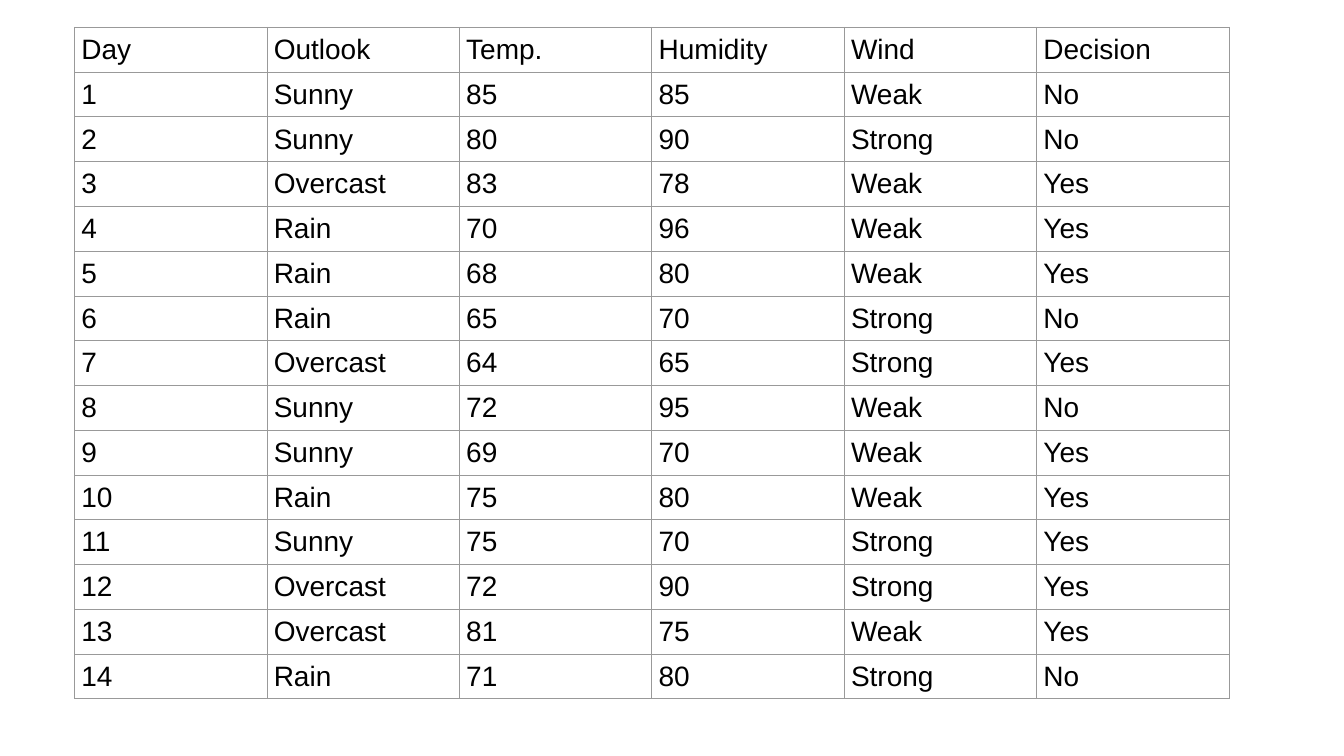
from dataclasses import dataclass

from lxml import etree
from pptx import Presentation
from pptx import util as u
from pptx.dml import color
from pptx.enum import text
from pptx.oxml import ns


@dataclass(frozen=True)
class Theme:
    face: str = "Arial"
    size: int = 20
    ink: str = "000000"
    rule: str = "999999"
    rule_width: float = 0.75


THEME = Theme()
INSET = u.Cm(0.17)
COL_WIDTH = u.Cm(4.85)
ROW_HEIGHT = u.Cm(1.12)

HEAD = ("Day", "Outlook", "Temp.", "Humidity", "Wind", "Decision")
DAYS = (
    ("Sunny", 85, 85, "Weak", "No"),
    ("Sunny", 80, 90, "Strong", "No"),
    ("Overcast", 83, 78, "Weak", "Yes"),
    ("Rain", 70, 96, "Weak", "Yes"),
    ("Rain", 68, 80, "Weak", "Yes"),
    ("Rain", 65, 70, "Strong", "No"),
    ("Overcast", 64, 65, "Strong", "Yes"),
    ("Sunny", 72, 95, "Weak", "No"),
    ("Sunny", 69, 70, "Weak", "Yes"),
    ("Rain", 75, 80, "Weak", "Yes"),
    ("Sunny", 75, 70, "Strong", "Yes"),
    ("Overcast", 72, 90, "Strong", "Yes"),
    ("Overcast", 81, 75, "Weak", "Yes"),
    ("Rain", 71, 80, "Strong", "No"),
)


def add_rules(cell):
    """Draw a thin line on all four sides of a cell."""
    props = cell._tc.get_or_add_tcPr()
    for place, side in enumerate(("lnL", "lnR", "lnT", "lnB")):
        line = etree.Element(ns.qn(f"a:{side}"), w=str(u.Pt(THEME.rule_width)))
        fill = etree.SubElement(line, ns.qn("a:solidFill"))
        etree.SubElement(fill, ns.qn("a:srgbClr"), val=THEME.rule)
        props.insert(place, line)  # lines must come before the fill


def fill_cell(cell, value):
    cell.text = str(value)
    cell.fill.background()
    cell.vertical_anchor = text.MSO_ANCHOR.MIDDLE
    cell.margin_left = cell.margin_right = INSET
    cell.margin_top = cell.margin_bottom = INSET
    font = cell.text_frame.paragraphs[0].font
    font.name = THEME.face
    font.size = u.Pt(THEME.size)
    font.bold = False
    font.color.rgb = color.RGBColor.from_string(THEME.ink)
    add_rules(cell)


def add_grid(slide, left, top, rows):
    count, width = len(rows), len(rows[0])
    frame = slide.shapes.add_table(
        count, width, left, top, COL_WIDTH * width, ROW_HEIGHT * count
    )
    table = frame.table
    table.first_row = table.horz_banding = False
    for col in table.columns:
        col.width = COL_WIDTH
    for row, values in zip(table.rows, rows):
        row.height = ROW_HEIGHT
        for cell, value in zip(row.cells, values):
            fill_cell(cell, value)


def main():
    deck = Presentation()
    deck.slide_width, deck.slide_height = u.Cm(33.87), u.Cm(19.05)
    slide = deck.slides.add_slide(deck.slide_layouts[6])

    # Weather table, with the days numbered from 1
    rows = [HEAD] + [(day, *facts) for day, facts in enumerate(DAYS, 1)]
    add_grid(slide, u.Cm(1.88), u.Cm(0.69), rows)

    deck.save("out.pptx")


if __name__ == "__main__":
    main()
